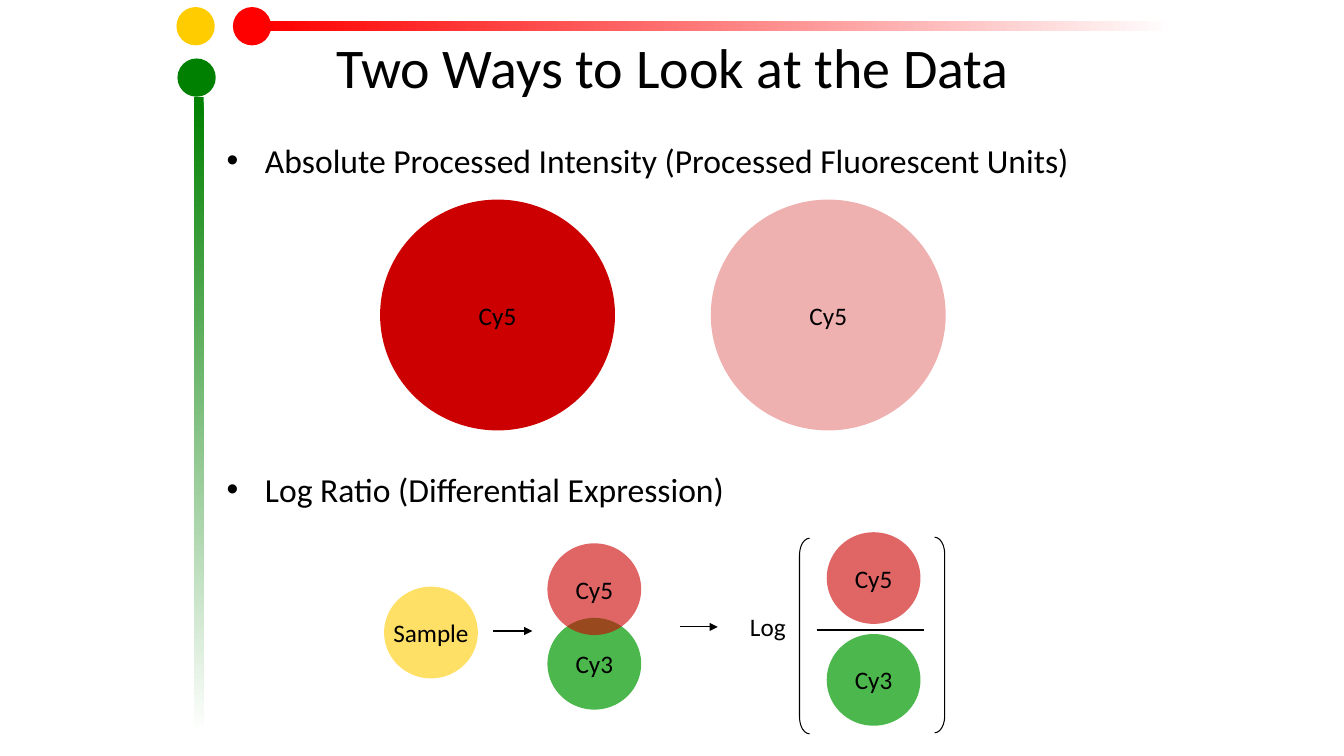
"""Build the slide comparing absolute intensity with log ratio."""
from dataclasses import dataclass

from lxml import etree
from pptx import Presentation
from pptx.dml.color import RGBColor
from pptx.enum.shapes import MSO_CONNECTOR, MSO_SHAPE
from pptx.enum.text import MSO_ANCHOR, PP_ALIGN
from pptx.oxml.ns import qn
from pptx.util import Inches, Pt

OVAL, BAR = MSO_SHAPE.OVAL, MSO_SHAPE.RECTANGLE
LEFT_BRACKET, RIGHT_BRACKET = MSO_SHAPE.LEFT_BRACKET, MSO_SHAPE.RIGHT_BRACKET
STRAIGHT = MSO_CONNECTOR.STRAIGHT
CENTER, LEFT = PP_ALIGN.CENTER, PP_ALIGN.LEFT
MIDDLE, TOP = MSO_ANCHOR.MIDDLE, MSO_ANCHOR.TOP


@dataclass(frozen=True)
class Theme:
    """Fonts, type sizes and colours of the slide."""
    font: str = "Calibri"
    title_size: int = 40
    bullet_size: int = 24
    label_size: int = 18
    line_width: float = 0.75
    ink: str = "000000"
    paper: str = "FFFFFF"
    bright_red: str = "FF0000"
    yellow: str = "FFCC00"
    dark_green: str = "008000"
    cy5: str = "CC0000"
    cy3: str = "009900"


THEME = Theme()
DOT = 0.38
SPOT = (2.33, 2.29)
DISC = (0.93, 0.91)


def rgb(code):
    """Turn a hex code into a colour."""
    return RGBColor.from_string(code)


def write(paragraph, words, size, align=LEFT):
    """Add one formatted run to a paragraph."""
    paragraph.alignment = align
    run = paragraph.add_run()
    run.text = words
    run.font.name = THEME.font
    run.font.size = Pt(size)
    run.font.color.rgb = rgb(THEME.ink)


def add_preset(slide, preset, left, top, width, height):
    """Add a preset shape without shadow or outline."""
    shape = slide.shapes.add_shape(
        preset, Inches(left), Inches(top), Inches(width), Inches(height))
    shape.shadow.inherit = False
    shape.line.fill.background()
    return shape


def add_circle(slide, left, top, size, color, opacity=100, label=None):
    """Add a filled ellipse with optional transparency and label."""
    circle = add_preset(slide, OVAL, left, top, *size)
    circle.fill.solid()
    circle.fill.fore_color.rgb = rgb(color)
    if opacity < 100:
        tint = circle.fill._xPr.find(".//" + qn("a:srgbClr"))
        etree.SubElement(tint, qn("a:alpha"), val=str(opacity * 1000))
    if label:
        frame = circle.text_frame
        frame.word_wrap = False
        frame.vertical_anchor = MIDDLE
        write(frame.paragraphs[0], label, THEME.label_size, CENTER)


def add_fading_bar(slide, left, top, width, height, color, angle):
    """Add a bar that fades from a colour to the background."""
    bar = add_preset(slide, BAR, left, top, width, height)
    bar.fill.gradient()
    bar.fill.gradient_angle = angle
    for stop, shade in zip(bar.fill.gradient_stops, (color, THEME.paper)):
        stop.color.rgb = rgb(shade)


def add_bracket(slide, preset, left, top):
    """Add one tall rounded bracket."""
    bracket = add_preset(slide, preset, left, top, 0.1, 1.94)
    bracket.adjustments[0] = 1.66
    bracket.fill.background()
    bracket.line.color.rgb = rgb(THEME.ink)
    bracket.line.width = Pt(THEME.line_width)


def add_rule(slide, left, right, y, arrow=False):
    """Add a thin horizontal line, with an arrowhead if asked."""
    rule = slide.shapes.add_connector(
        STRAIGHT, Inches(left), Inches(y), Inches(right), Inches(y))
    rule.line.color.rgb = rgb(THEME.ink)
    rule.line.width = Pt(THEME.line_width)
    if arrow:
        etree.SubElement(rule.line._get_or_add_ln(), qn("a:tailEnd"),
                         type="triangle")
    etree.SubElement(rule._element.spPr, qn("a:effectLst"))


def add_text_box(slide, left, top, width, height, wrap):
    """Add an empty text box and return its frame."""
    box = slide.shapes.add_textbox(
        Inches(left), Inches(top), Inches(width), Inches(height))
    box.text_frame.word_wrap = wrap
    box.text_frame.vertical_anchor = TOP
    return box.text_frame


def add_bullet(paragraph, words):
    """Write a bulleted line with a hanging indent."""
    properties = paragraph._p.get_or_add_pPr()
    properties.set("marL", str(Inches(0.38)))
    properties.set("indent", str(-Inches(0.38)))
    etree.SubElement(properties, qn("a:buFont"), typeface="Arial")
    etree.SubElement(properties, qn("a:buChar"), char="•")
    write(paragraph, words, THEME.bullet_size)


def add_title(slide, words):
    """Place and fill the title placeholder."""
    title = slide.shapes.title
    title.left, title.top = Inches(2.17), Inches(0.3)
    title.width, title.height = Inches(9), Inches(0.71)
    title.text_frame.vertical_anchor = MIDDLE
    write(title.text_frame.paragraphs[0], words, THEME.title_size, CENTER)


def add_topics(slide):
    """Add the two bulleted topics, leaving room for the spots between."""
    frame = add_text_box(slide, 2.15, 1.34, 9.14, 4.95, True)
    add_bullet(frame.paragraphs[0],
               "Absolute Processed Intensity (Processed Fluorescent Units)")
    log_ratio = frame.add_paragraph()
    log_ratio.space_before = Pt(206)
    add_bullet(log_ratio, "Log Ratio (Differential Expression)")


def add_ornament(slide):
    """Add the corner dots and the two fading bars."""
    for left, top, color in ((2.31, 0.07, THEME.bright_red),
                             (1.75, 0.07, THEME.yellow),
                             (1.76, 0.58, THEME.dark_green)):
        add_circle(slide, left, top, (DOT, DOT), color)
    add_fading_bar(slide, 1.92, 0.96, 0.1, 6.32, THEME.dark_green, 270)
    add_fading_bar(slide, 2.64, 0.21, 9.03, 0.1, THEME.bright_red, 0)


def add_log_ratio(slide):
    """Draw the path from sample to the log of the dye ratio."""
    for left, cy5_top, cy3_top in ((8.2, 5.28, 6.29), (5.43, 5.39, 6.13)):
        add_circle(slide, left, cy3_top, DISC, THEME.cy3, 70, "Cy3")
        add_circle(slide, left, cy5_top, DISC, THEME.cy5, 60, "Cy5")
    add_circle(slide, 3.81, 5.82, DISC, THEME.yellow, 60, "Sample")
    add_rule(slide, 4.89, 5.28, 6.26, arrow=True)
    add_rule(slide, 6.74, 7.12, 6.22, arrow=True)
    log = add_text_box(slide, 7.34, 6.02, 0.57, 0.4, False)
    write(log.paragraphs[0], "Log", THEME.label_size)
    add_bracket(slide, LEFT_BRACKET, 7.93, 5.34)
    add_bracket(slide, RIGHT_BRACKET, 9.27, 5.33)
    add_rule(slide, 8.1, 9.16, 6.25)


def main():
    """Build and save the slide."""
    deck = Presentation()
    deck.slide_width, deck.slide_height = Inches(13.33), Inches(7.5)
    slide = deck.slides.add_slide(deck.slide_layouts.get_by_name("Title Only"))
    add_title(slide, "Two Ways to Look at the Data")
    add_topics(slide)
    add_ornament(slide)
    for left, opacity in ((3.77, 100), (7.05, 31)):
        add_circle(slide, left, 1.98, SPOT, THEME.cy5, opacity, "Cy5")
    add_log_ratio(slide)
    deck.save("out.pptx")


if __name__ == "__main__":
    main()
